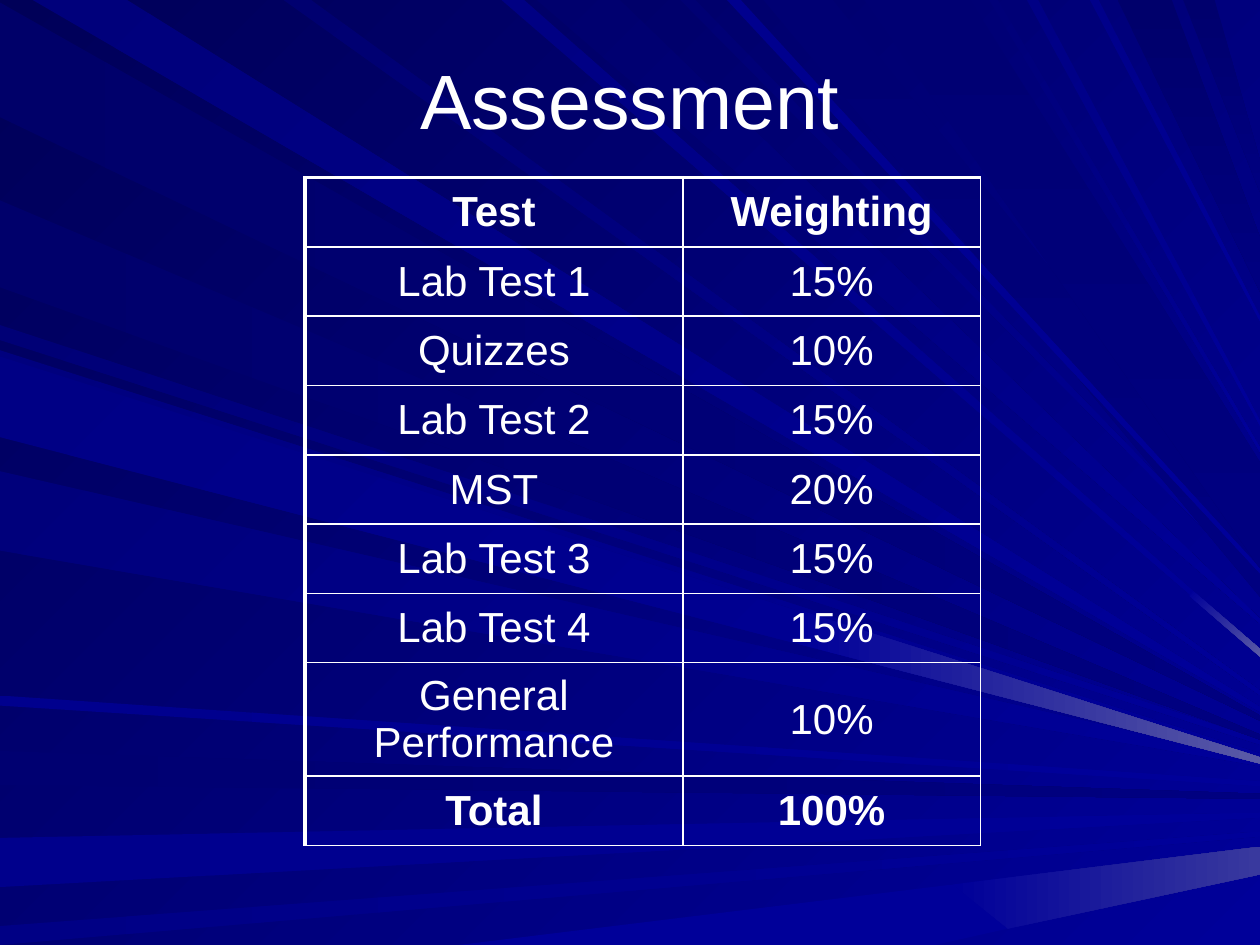
from pptx import Presentation, util as u
from pptx.dml.color import RGBColor
from pptx.enum import text
from pptx.oxml import parse_xml
from pptx.oxml.ns import nsdecls

WHITE = RGBColor(0xFF, 0xFF, 0xFF)
DARK_NAVY = RGBColor(0, 0, 0x58)
NAVY = RGBColor(0, 0, 0x80)
BLUE = RGBColor(0, 0, 0x99)
GLOW = RGBColor(0x5A, 0x5A, 0xA6)
DIM_GLOW = RGBColor(0x39, 0x39, 0x9E)


def write_text(frame, words, size=24, bold=False, before=0):
    frame.word_wrap = True
    paragraph = frame.paragraphs[0]
    paragraph.alignment = text.PP_ALIGN.CENTER
    paragraph.space_before = u.Pt(before)
    run = paragraph.add_run()
    run.text = words
    run.font.name = "Arial"
    run.font.size = u.Pt(size)
    run.font.bold = bold
    run.font.color.rgb = WHITE


def fill_gradient(fill, start, end, angle):
    fill.gradient()
    fill.gradient_angle = -angle % 360
    for stop, color in zip(fill.gradient_stops, (start, end)):
        stop.color.rgb = color


presentation = Presentation()
presentation.slide_width = u.Inches(10)
presentation.slide_height = u.Inches(7.5)
slide = presentation.slides.add_slide(presentation.slide_layouts[6])
fill_gradient(slide.background.fill, DARK_NAVY, BLUE, 45)

rays = [
    ("left", 0.02, 0.93, 5.7, "69", NAVY),
    ("top", 0.26, 1.01, 5.63, "7B", BLUE),
    ("left", 5.96, 6.23, 6.32, "71", NAVY),
    ("left", 6.65, 7.04, 6.47, "8C", BLUE),
    ("left", 7.35, 7.5, 6.62, "85", BLUE),
    ("left", 2.58, 2.7, 5.89, "76", BLUE),
    ("left", 1.59, 2.28, 5.85, "6B", NAVY),
    ("top", 3.98, 4.16, 5.18, "83", BLUE),
    ("top", 4.26, 4.92, 4.93, "6D", BLUE),
    ("top", 5.4, 5.52, 4.63, "73", BLUE),
    ("top", 6.06, 6.61, 4.46, "73", NAVY),
    ("top", 8.87, 9.3, 2.1, "6B", NAVY),
    ("top", 9.39, 9.64, 1.4, "6D", NAVY),
    ("left", 2.78, 3.42, 6, "7E", BLUE),
    ("left", 3.74, 4.37, 6.06, "7B", BLUE),
    ("left", 5.52, 5.6, 6.22, "8E", BLUE),
    ("top", 2.25, 2.47, 5.5, "70", BLUE),
    ("top", 5.77, 5.88, 4.53, "8E", BLUE),
    ("top", 6.86, 7.7, 4.09, "73", NAVY),
    ("top", 7.85, 7.92, 3.57, "78", BLUE),
    ("top", 8.15, 8.24, 3.36, "85", BLUE),
    ("top", 8.65, 8.72, 2.53, "8A", BLUE),
    ("left", 2.83, 3.47, 6.04, "85", BLUE),
]
beams = []
for edge, first, last, tip, shade, end in rays:
    start = RGBColor.from_string("0000" + shade)
    spread = last - first if edge == "top" and end == NAVY else 0.04
    tips = [(10, tip - spread / 2), (10, tip + spread / 2)]
    if edge == "top":
        points = [(first, 0), (last, 0), *tips]
        angle = 90 if end == NAVY else 45
    else:
        points = [(0, last), (0, first), *tips]
        angle = 45 if end == BLUE and tip - first > 2 else 0
    beams.append((points, start, end, angle))
beams += [
    ([(3.64, 7.5), (7.56, 7.02), (8, 7.37), (7.42, 7.5)], BLUE, BLUE, 0),
    ([(7.56, 7.02), (10, 6.72), (10, 6.94), (8, 7.37)], BLUE, DIM_GLOW, 0),
    ([(9.44, 4.73), (9.47, 4.69), (10, 5.15), (10, 5.21)], BLUE, GLOW, 45),
    ([(6.33, 5.11), (6.37, 4.85), (10, 6.01), (10, 6.06)], BLUE, GLOW, 0),
]
for points, start, end, angle in beams:
    corners = [(u.Inches(x), u.Inches(y)) for x, y in points]
    builder = slide.shapes.build_freeform(*corners[0])
    builder.add_line_segments(corners[1:], close=True)
    beam = builder.convert_to_shape()
    beam.shadow.inherit = False
    beam.line.fill.background()
    fill_gradient(beam.fill, start, end, angle)

title = slide.shapes.add_textbox(u.Inches(0.5), u.Inches(0.16), u.Inches(9), u.Inches(1.25))
title.text_frame.vertical_anchor = text.MSO_ANCHOR.MIDDLE
write_text(title.text_frame, "Assessment", size=44)

weightings = [
    ("Test", "Weighting"),
    ("Lab Test 1", "15%"),
    ("Quizzes", "10%"),
    ("Lab Test 2", "15%"),
    ("MST", "20%"),
    ("Lab Test 3", "15%"),
    ("Lab Test 4", "15%"),
    ("General Performance", "10%"),
    ("Total", "100%"),
]
table = slide.shapes.add_table(
    len(weightings), 2, u.Inches(2.42), u.Inches(1.41), u.Inches(5.36), u.Inches(5.3)
).table
table.first_row = False
table.horz_banding = False
for column, width in zip(table.columns, (3, 2.36)):
    column.width = u.Inches(width)

for row_index, row in enumerate(weightings):
    table.rows[row_index].height = u.Inches(0.9 if row[0] == "General Performance" else 0.55)
    for column_index, words in enumerate(row):
        cell = table.cell(row_index, column_index)
        cell.fill.background()
        cell.vertical_anchor = text.MSO_ANCHOR.MIDDLE
        write_text(cell.text_frame, words, bold=row[0] in ("Test", "Total"), before=4.8)
        widths = {
            "lnL": 2.25 if column_index == 0 else 1,
            "lnR": 1,
            "lnT": 2.25 if row_index == 0 else 1,
            "lnB": 1,
        }
        properties = cell._tc.get_or_add_tcPr()
        for position, (side, width) in enumerate(widths.items()):
            properties.insert(position, parse_xml(
                f'<a:{side} {nsdecls("a")} w="{u.Pt(width)}"><a:solidFill>'
                f'<a:srgbClr val="{WHITE}"/></a:solidFill></a:{side}>'
            ))

presentation.save("out.pptx")
